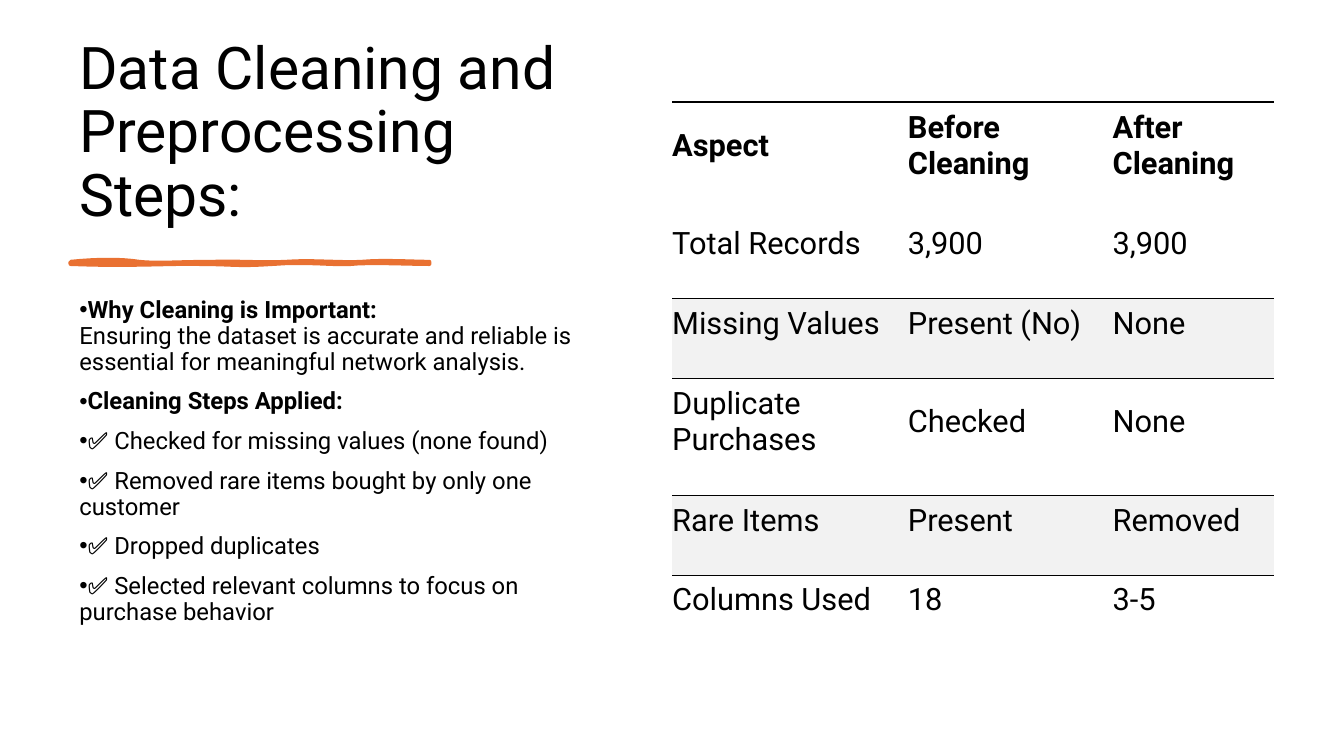
from lxml.etree import SubElement
from pptx import Presentation
from pptx.dml.color import RGBColor
from pptx.enum.text import MSO_ANCHOR as Anchor
from pptx.oxml import parse_xml
from pptx.oxml.ns import nsdecls, qn
from pptx.util import Cm, Pt

FONT = "Roboto"
BLACK, ORANGE, BAND = "000000", "E97132", "F2F2F2"
NO_STYLE = "{2D5ABB26-0587-4C30-8999-92F81FD0307C}"

TITLE = "Data Cleaning and Preprocessing Steps:"
# Heading (bold) and following text of each bullet
BULLETS = [
    ("Why Cleaning is Important:",
     "Ensuring the dataset is accurate and reliable is essential "
     "for meaningful network analysis."),
    ("Cleaning Steps Applied:", ""),
    ("", "✅ Checked for missing values (none found)"),
    ("", "✅ Removed rare items bought by only one customer"),
    ("", "✅ Dropped duplicates"),
    ("", "✅ Selected relevant columns to focus on purchase behavior"),
]
ASPECTS = [
    ("Aspect", "Before Cleaning", "After Cleaning"),
    ("Total Records", "3,900", "3,900"),
    ("Missing Values", "Present (No)", "None"),
    ("Duplicate Purchases", "Checked", "None"),
    ("Rare Items", "Present", "Removed"),
    ("Columns Used", "18", "3-5"),
]
COLUMN_WIDTHS = (5.94, 5.16, 4.06)
TALL_ROWS, BANDED_ROWS = (0, 3), (2, 4)

# Hand-drawn underline: start, then two control points and an end per curve, in cm
STROKE_START = (1.78, 6.6)
STROKE_CURVES = [
    ((2.46, 6.53), (3.07, 6.53), (3.51, 6.6)),
    ((3.94, 6.65), (4.5, 6.6), (5.31, 6.6)),
    ((6.12, 6.58), (6.6, 6.63), (7.21, 6.6)),
    ((7.82, 6.55), (8.61, 6.63), (9.12, 6.6)),
    ((9.63, 6.55), (10.46, 6.6), (10.82, 6.6)),
    ((10.82, 6.6), (10.82, 6.63), (10.82, 6.65)),
    ((10.36, 6.65), (9.25, 6.6), (8.84, 6.65)),
    ((8.43, 6.68), (7.72, 6.58), (6.86, 6.65)),
    ((5.97, 6.71), (5.87, 6.65), (5.05, 6.65)),
    ((4.22, 6.63), (3.35, 6.71), (1.78, 6.65)),
]


def color(hex_code):
    return RGBColor.from_string(hex_code)


def format_run(run, size, bold=False):
    run.font.name = FONT
    run.font.size = Pt(size)
    run.font.bold = bold
    run.font.color.rgb = color(BLACK)


def add_text_frame(slide, top, height, anchor):
    frame = slide.shapes.add_textbox(Cm(1.75), Cm(top), Cm(13.39), Cm(height)).text_frame
    frame.word_wrap = True
    frame.vertical_anchor = anchor
    return frame


def add_title(slide):
    title = add_text_frame(slide, 1.78, 4.11, Anchor.BOTTOM)
    title.text = TITLE
    title.paragraphs[0].line_spacing = 0.9
    format_run(title.paragraphs[0].runs[0], 42)


def add_bullet_mark(paragraph):
    properties = paragraph._p.get_or_add_pPr()
    properties.set("marL", "0")
    properties.set("indent", str(-Cm(0.64)))
    SubElement(properties, qn("a:buFont")).set("typeface", "Arial")
    SubElement(properties, qn("a:buChar")).set("char", "•")


def add_bullets(slide):
    body = add_text_frame(slide, 7.39, 9.86, Anchor.TOP)
    for index, (heading, detail) in enumerate(BULLETS):
        bullet = body.add_paragraph() if index else body.paragraphs[0]
        bullet.text = "\v".join(filter(None, (heading, detail)))
        bullet.line_spacing = 0.9
        bullet.space_before = Pt(10)
        add_bullet_mark(bullet)
        for run in bullet.runs:
            format_run(run, 17, bold=run.text == heading)


def curve_points(start, curves, steps=8):
    """Points along a chain of cubic Bezier curves."""
    points = []
    for first, second, end in curves:
        for step in range(1, steps + 1):
            t = step / steps
            weights = ((1 - t) ** 3, 3 * t * (1 - t) ** 2, 3 * t * t * (1 - t), t ** 3)
            corners = (start, first, second, end)
            points.append(tuple(Cm(sum(w * c[axis] for w, c in zip(weights, corners)))
                                for axis in (0, 1)))
        start = end
    return points


def add_underline(slide):
    x, y = STROKE_START
    builder = slide.shapes.build_freeform(Cm(x), Cm(y))
    builder.add_line_segments(curve_points(STROKE_START, STROKE_CURVES), close=True)
    underline = builder.convert_to_shape()
    underline.shadow.inherit = False
    underline.fill.solid()
    underline.fill.fore_color.rgb = color(ORANGE)
    underline.line.color.rgb = color(ORANGE)
    underline.line.width = Pt(3)


def add_top_border(cell, points):
    border = parse_xml(
        f'<a:lnT {nsdecls("a")} w="{Pt(points)}"><a:solidFill>'
        f'<a:srgbClr val="{BLACK}"/></a:solidFill></a:lnT>')
    cell._tc.get_or_add_tcPr().insert(0, border)


def fill_cell(cell, text, row):
    cell.text = text
    cell.vertical_anchor = Anchor.MIDDLE
    cell.margin_left, cell.margin_top = Cm(0), Cm(0.1)
    cell.margin_right, cell.margin_bottom = Cm(0.28), Cm(0.84)
    format_run(cell.text_frame.paragraphs[0].runs[0], 22, bold=row == 0)
    if row in BANDED_ROWS:
        cell.fill.solid()
        cell.fill.fore_color.rgb = color(BAND)
        add_top_border(cell, 0.5)
    else:
        cell.fill.background()
    if row == 0:
        add_top_border(cell, 2.25)


def add_comparison(slide):
    frame = slide.shapes.add_table(len(ASPECTS), len(COLUMN_WIDTHS),
                                   Cm(16.94), Cm(2.57), Cm(15.16), Cm(13.9))
    comparison = frame.table
    comparison.first_row = comparison.horz_banding = False
    next(frame.element.iter(qn("a:tableStyleId"))).text = NO_STYLE
    for column, width in zip(comparison.columns, COLUMN_WIDTHS):
        column.width = Cm(width)
    for row, texts in enumerate(ASPECTS):
        comparison.rows[row].height = Cm(2.95 if row in TALL_ROWS else 2.01)
        for column, text in enumerate(texts):
            fill_cell(comparison.cell(row, column), text, row)


def main():
    deck = Presentation()
    deck.slide_width, deck.slide_height = Cm(33.87), Cm(19.05)
    slide = deck.slides.add_slide(deck.slide_layouts[6])
    # Left side: title, underline and bullets
    add_title(slide)
    add_underline(slide)
    add_bullets(slide)
    # Right side: before and after table
    add_comparison(slide)
    deck.save("out.pptx")


if __name__ == "__main__":
    main()
